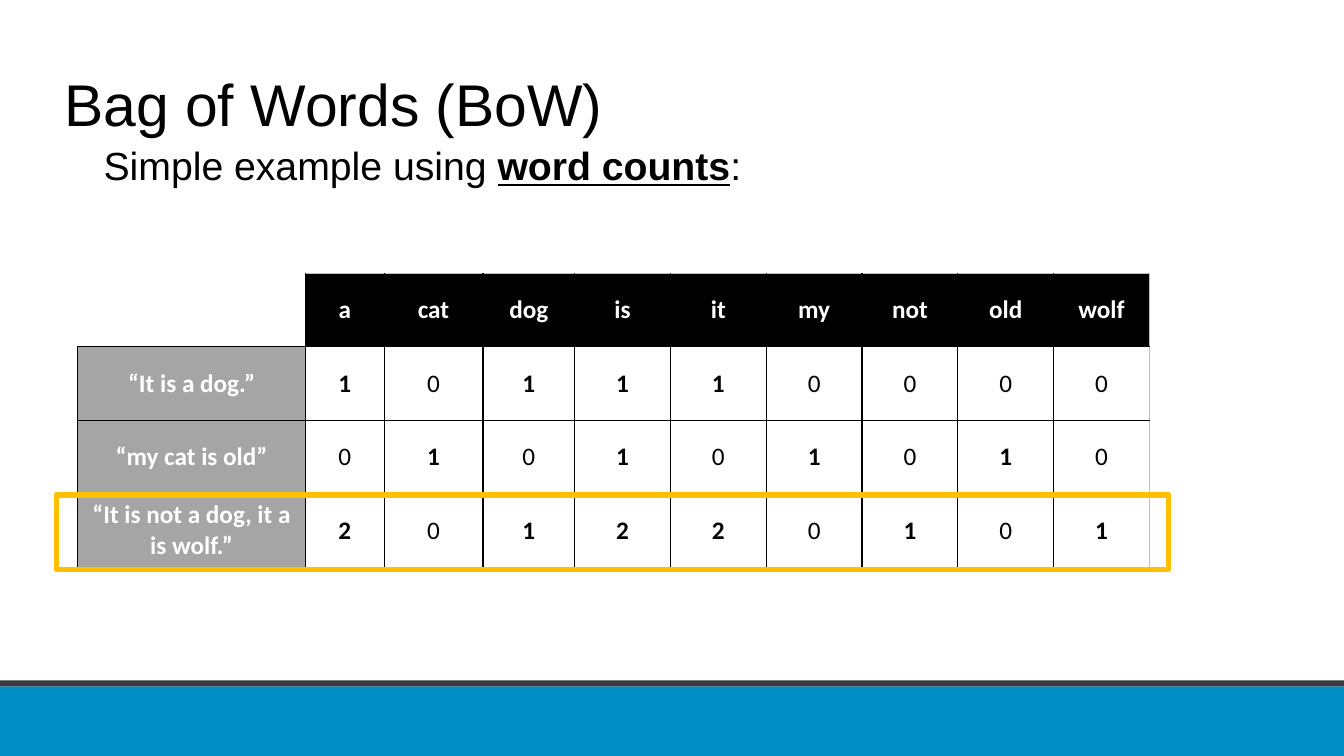
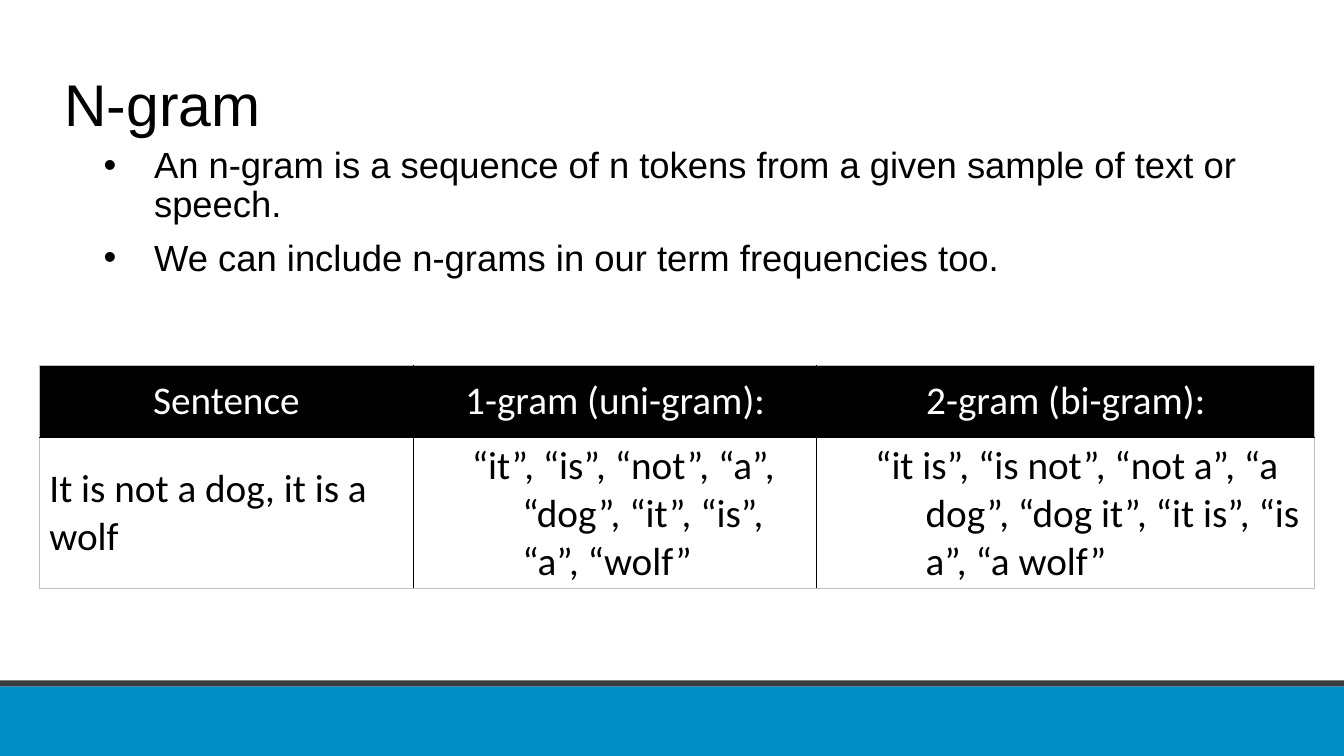
from lxml import etree
from pptx import Presentation, util as u
from pptx.dml.color import RGBColor
from pptx.enum import shapes, text
from pptx.oxml import ns

Inches, Pt = u.Inches, u.Pt
rgb = RGBColor.from_string
BLACK, WHITE, BLUE, DARK = "000000", "FFFFFF", "008DC4", "383D3B"
GRAY, PALE, GOLD = "A5A5A5", "BFBFBF", "FFC000"
NO_STYLE = "{2D5ABB26-0587-4C30-8999-92F81FD0307C}"
LEFT, CENTER = text.PP_ALIGN.LEFT, text.PP_ALIGN.CENTER


def write(frame, lines, size, font="Arial", color=BLACK, bold=False, align=LEFT,
          spacing=None, before=0, after=0, margin=0, hanging=0, bullet=None):
    """Fill a frame with paragraphs; words between ** are bold and underlined."""
    frame.word_wrap = True
    for i, line in enumerate(lines):
        para = frame.paragraphs[0] if i == 0 else frame.add_paragraph()
        para.alignment, para.line_spacing = align, spacing
        para.space_before, para.space_after = Pt(before), Pt(after)
        props = para._p.get_or_add_pPr()
        props.set("marL", str(Inches(margin)))
        props.set("indent", str(-Inches(hanging)))
        if bullet:
            etree.SubElement(props, ns.qn("a:buFont")).set("typeface", "Arial")
            etree.SubElement(props, ns.qn("a:buChar")).set("char", bullet)
        for j, part in enumerate(line.split("**")):
            run = para.add_run()
            run.text = part
            strong = j % 2 == 1
            run.font.size, run.font.name = Pt(size), font
            run.font.bold, run.font.underline = bold or strong, strong
            run.font.color.rgb = rgb(color)


def format_cell(cell, fill, edges):
    """Set the fill and the left, right, top and bottom edges (None hides one)."""
    cell.vertical_anchor = text.MSO_ANCHOR.MIDDLE
    if fill:
        cell.fill.solid()
        cell.fill.fore_color.rgb = rgb(fill)
    else:
        cell.fill.background()
    props = cell._tc.get_or_add_tcPr()
    for i, (side, color) in enumerate(zip("LRTB", edges)):
        edge = etree.Element(ns.qn("a:ln" + side))
        edge.set("w", str(Pt(0.5 if color == PALE else 1)))
        if color:
            paint = etree.SubElement(edge, ns.qn("a:solidFill"))
            etree.SubElement(paint, ns.qn("a:srgbClr")).set("val", color)
        else:
            etree.SubElement(edge, ns.qn("a:noFill"))
        props.insert(i, edge)


prs = Presentation()
prs.slide_width, prs.slide_height = Inches(13.33), Inches(7.5)

counts = [
    ["", "a", "cat", "dog", "is", "it", "my", "not", "old", "wolf"],
    ["“It is a dog.”", 1, 0, 1, 1, 1, 0, 0, 0, 0],
    ["“my cat is old”", 0, 1, 0, 1, 0, 1, 0, 1, 0],
    ["“It is not a dog, it a is wolf.”", 2, 0, 1, 2, 2, 0, 1, 0, 1],
]
ngrams = [
    ["Sentence", "1-gram (uni-gram):", "2-gram (bi-gram):"],
    ["It is not a dog, it is a wolf",
     "“it”, “is”, “not”, “a”, “dog”, “it”, “is”, “a”, “wolf”",
     "“it is”, “is not”, “not a”, “a dog”, “dog it”, “it is”, “is a”, “a wolf”"],
]
pages = [
    dict(title="Bag of Words (BoW)", body=["Simple example using **word counts**:"],
         body_style=dict(size=28), cells=counts, left=0.77, top=2.71,
         widths=[2.26, 0.78, 0.98, 0.91] + [0.95] * 6, heights=[0.73] * 4),
    dict(title="N-gram",
         body=["An n-gram is a sequence of n tokens from a given sample of text or speech.",
               "We can include n-grams in our term frequencies too."],
         body_style=dict(size=26, margin=0.5, hanging=0.5, bullet="•"),
         cells=ngrams, left=0.39, top=3.62, widths=[3.71, 4, 4.94], heights=[0.72, 1.5]),
]

for page in pages:
    slide = prs.slides.add_slide(prs.slide_layouts[6])

    # Footer bands
    for color, *box in ((BLUE, -0.02, 6.81, 13.38, 0.69), (DARK, -0.01, 6.75, 13.36, 0.06)):
        band = slide.shapes.add_shape(shapes.MSO_SHAPE.RECTANGLE, *map(Inches, box))
        band.shadow.inherit = False
        band.fill.solid()
        band.fill.fore_color.rgb = rgb(color)
        band.line.fill.background()

    # Title and body
    title = slide.shapes.add_textbox(*map(Inches, (0.54, 0.52, 11.5, 1.09))).text_frame
    title.vertical_anchor = text.MSO_ANCHOR.MIDDLE
    write(title, [page["title"]], 42, spacing=0.9)
    body = slide.shapes.add_textbox(*map(Inches, (0.93, 1.41, 11.86, 5.33))).text_frame
    write(body, page["body"], spacing=0.9, before=10, **page["body_style"])

    # Table
    cells, widths, heights = page["cells"], page["widths"], page["heights"]
    is_counts = cells is counts
    box = (page["left"], page["top"], sum(widths), sum(heights))
    table = slide.shapes.add_table(len(heights), len(widths), *map(Inches, box)).table
    table._tbl.tblPr.find(ns.qn("a:tableStyleId")).text = NO_STYLE
    table.first_row = table.horz_banding = False
    for column, width in zip(table.columns, widths):
        column.width = Inches(width)
    for row, height in zip(table.rows, heights):
        row.height = Inches(height)
    for r, line in enumerate(cells):
        for c, value in enumerate(line):
            header, label = r == 0, is_counts and c == 0
            corner = header and label
            fill = None if corner else BLACK if header else GRAY if label else None
            outer_left = None if corner else BLACK if label else PALE
            edges = (BLACK if c else outer_left,
                     PALE if c == len(widths) - 1 else BLACK,
                     BLACK if r else None if corner else PALE,
                     PALE if r == len(heights) - 1 else BLACK)
            format_cell(table.cell(r, c), fill, edges)
            if corner:
                continue
            if is_counts:
                style = dict(size=18, bold=bool(value), align=CENTER)
            elif header:
                style = dict(size=28, align=CENTER)
            elif c:
                style = dict(size=28, margin=0.98, hanging=0.5)
            else:
                style = dict(size=28, before=6, after=6)
            write(table.cell(r, c).text_frame, [str(value)], font="Calibri",
                  color=WHITE if fill else BLACK, **style)

    # Highlight around the last sentence
    if is_counts:
        highlight = slide.shapes.add_shape(
            shapes.MSO_SHAPE.RECTANGLE, *map(Inches, (0.56, 4.91, 11.03, 0.74)))
        highlight.shadow.inherit = False
        highlight.fill.background()
        highlight.line.color.rgb = rgb(GOLD)
        highlight.line.width = Pt(4)

prs.save("out.pptx")
